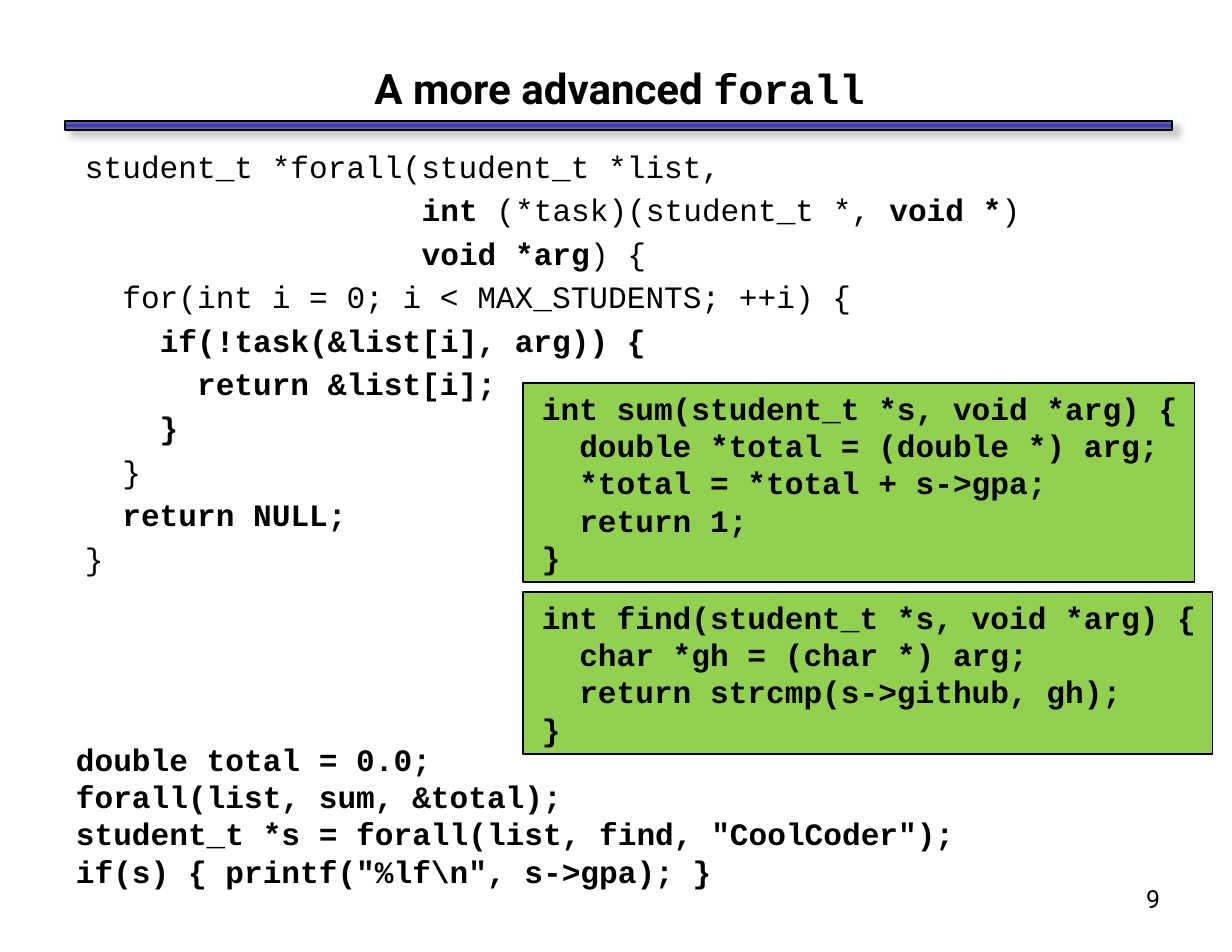
import pptx
import pptx.dml.color
import pptx.enum.shapes
import pptx.enum.text
import pptx.oxml
import pptx.oxml.ns
import pptx.util

PX = 914400 / 112
ALIGN = pptx.enum.text.PP_ALIGN
FIT = pptx.enum.text.MSO_AUTO_SIZE
RECTANGLE = pptx.enum.shapes.MSO_SHAPE.RECTANGLE
SANS, MONO = "Roboto", "Courier New"
BLACK, GREEN = "000000", "92D050"

FORALL = """student_t *forall(student_t *list,
                  `int` (*task)(student_t *, `void *`)
                  `void *arg`) {
  for(int i = 0; i < MAX_STUDENTS; ++i) {
    `if(!task(&list[i], arg)) {`
`      return &list[i];`
`    }`
  }
  `return NULL;`
}"""
SUM = """int sum(student_t *s, void *arg) {
  double *total = (double *) arg;
  *total = *total + s->gpa;
  return 1;
}"""
FIND = """int find(student_t *s, void *arg) {
  char *gh = (char *) arg;
  return strcmp(s->github, gh);
}"""
USAGE = r"""double total = 0.0;
forall(list, sum, &total);
student_t *s = forall(list, find, "CoolCoder");
if(s) { printf("%lf\n", s->gpa); }"""


def px(length):
    """Turn pixels into EMU."""
    return round(length * PX)


def color(value):
    """Turn a hex string into a colour."""
    return pptx.dml.color.RGBColor.from_string(value)


def write(frame, text, size=20, font=MONO, bold=False, align=ALIGN.LEFT, indent=0,
          before=0, inset=(11, 6), fit=FIT.NONE, wrap=True, marked_font=None):
    """Fill a frame line by line; text between backticks is bold, in marked_font if given."""
    frame.word_wrap = wrap
    frame.auto_size = fit
    frame.margin_left = frame.margin_right = px(inset[0])
    frame.margin_top = frame.margin_bottom = px(inset[1])
    for row, line in enumerate(text.split("\n")):
        paragraph = frame.add_paragraph() if row else frame.paragraphs[0]
        paragraph.alignment = align
        paragraph.space_before = pptx.util.Pt(before if row else 0)
        properties = paragraph._p.get_or_add_pPr()
        properties.set("marL", str(px(indent)))
        properties.set("indent", "0")
        for part, words in enumerate(line.split("`")):
            if words:
                marked = part % 2 == 1
                run = paragraph.add_run()
                run.text = words
                run.font.size = pptx.util.Pt(size)
                run.font.name = marked_font if marked and marked_font else font
                run.font.bold = bold or marked
                run.font.color.rgb = color(BLACK)


class SlideBuilder:
    """Holds the style and the slide being built."""

    def __init__(self, presentation):
        """Start a title-only slide."""
        self.slide = presentation.slides.add_slide(presentation.slide_layouts[5])
        self.shapes = self.slide.shapes
        self.inset = (12, 7)

    def title(self, box, text, **style):
        """Place and format the title."""
        heading = self.shapes.title
        heading.left, heading.top, heading.width, heading.height = map(px, box)
        heading.text_frame.vertical_anchor = pptx.enum.text.MSO_ANCHOR.MIDDLE
        write(heading.text_frame, text, inset=self.inset, **style)

    def text(self, box, text, **style):
        """Add a text box."""
        label = self.shapes.add_textbox(*map(px, box))
        write(label.text_frame, text, **style)

    def rectangle(self, box, line_width):
        """Add an outlined rectangle."""
        panel = self.shapes.add_shape(RECTANGLE, *map(px, box))
        panel.shadow.inherit = False
        panel.line.color.rgb = color(BLACK)
        panel.line.width = pptx.util.Pt(line_width)
        return panel

    def code_panel(self, box, code):
        """Add a filled rectangle that holds code."""
        panel = self.rectangle(box, 0.75)
        panel.fill.solid()
        panel.fill.fore_color.rgb = color(GREEN)
        panel.text_frame.vertical_anchor = pptx.enum.text.MSO_ANCHOR.TOP
        write(panel.text_frame, code, bold=True, indent=8,
              fit=FIT.SHAPE_TO_FIT_TEXT, wrap=False)

    def rule(self, box, edge, middle, shadow):
        """Add a shaded bar with a soft shadow."""
        bar = self.rectangle(box, 1)
        bar.fill.gradient()
        bar.fill.gradient_angle = 90
        namespace = pptx.oxml.ns.nsdecls("a")
        stops = bar._element.spPr.find(".//" + pptx.oxml.ns.qn("a:gsLst"))
        for stop in list(stops):
            stops.remove(stop)
        for position, shade in ((0, edge), (50, middle), (100, edge)):
            stops.append(pptx.oxml.parse_xml(
                f'<a:gs {namespace} pos="{position * 1000}"><a:srgbClr val="{shade}"/></a:gs>'))
        effects = bar._element.spPr.find(pptx.oxml.ns.qn("a:effectLst"))
        effects.append(pptx.oxml.parse_xml(
            f'<a:outerShdw {namespace} blurRad="63500" dist="63500" dir="2220000" '
            f'algn="ctr" rotWithShape="0"><a:srgbClr val="{shadow}">'
            '<a:alpha val="75000"/></a:srgbClr></a:outerShdw>'))


def main():
    """Build and save the slide."""
    presentation = pptx.Presentation()
    presentation.slide_width, presentation.slide_height = px(1232), px(952)
    builder = SlideBuilder(presentation)
    builder.rule((65, 121, 1107, 9), "808080", "3333CC", "B2B2B2")
    builder.text((915, 877, 257, 64), "9", size=16, font=SANS,
                 align=ALIGN.RIGHT, inset=builder.inset)
    builder.title((65, 56, 1109, 64), "A more advanced `forall`", size=27, font=SANS,
                  bold=True, align=ALIGN.CENTER, marked_font=MONO)
    builder.text((65, 140, 1106, 728), FORALL, indent=8, before=4, inset=builder.inset)
    builder.code_panel((523, 383, 672, 199), SUM)
    builder.code_panel((523, 592, 690, 162), FIND)
    builder.text((65, 734, 908, 162), USAGE, bold=True,
                 fit=FIT.SHAPE_TO_FIT_TEXT, wrap=False)
    presentation.save("out.pptx")


if __name__ == "__main__":
    main()
